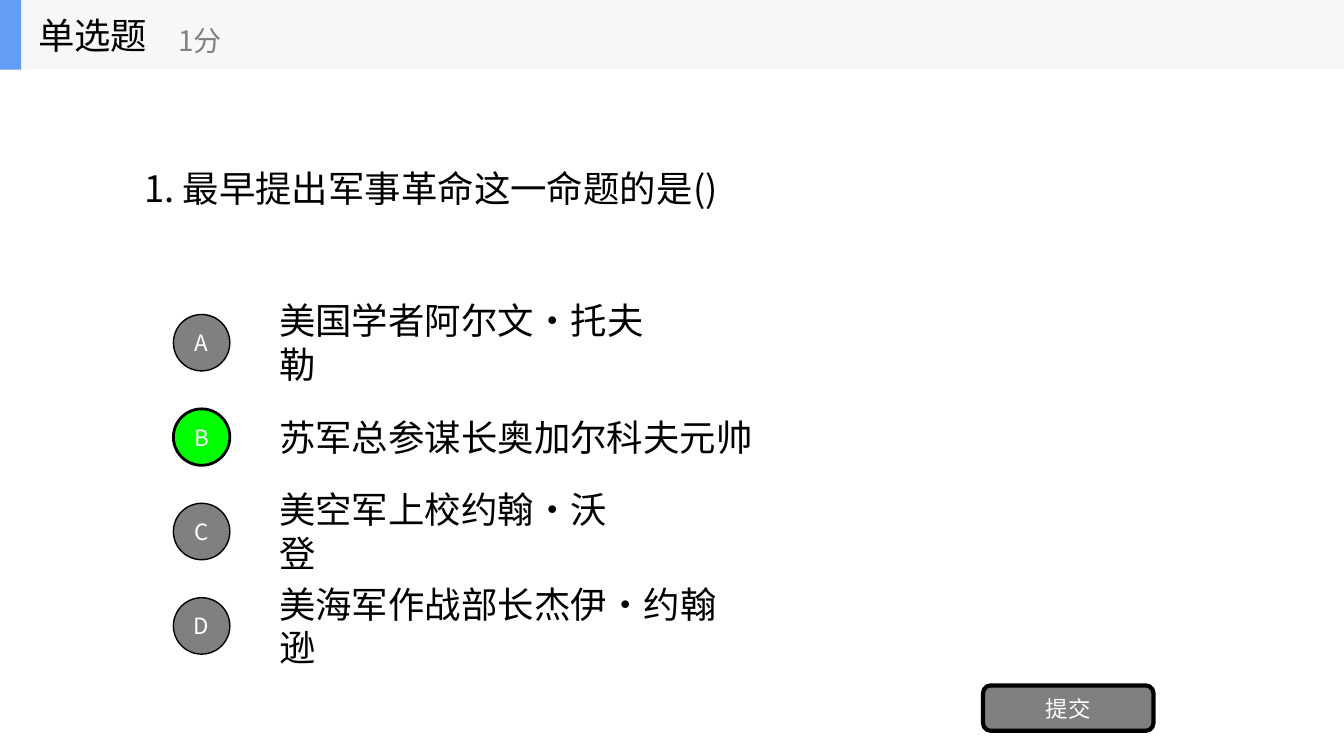
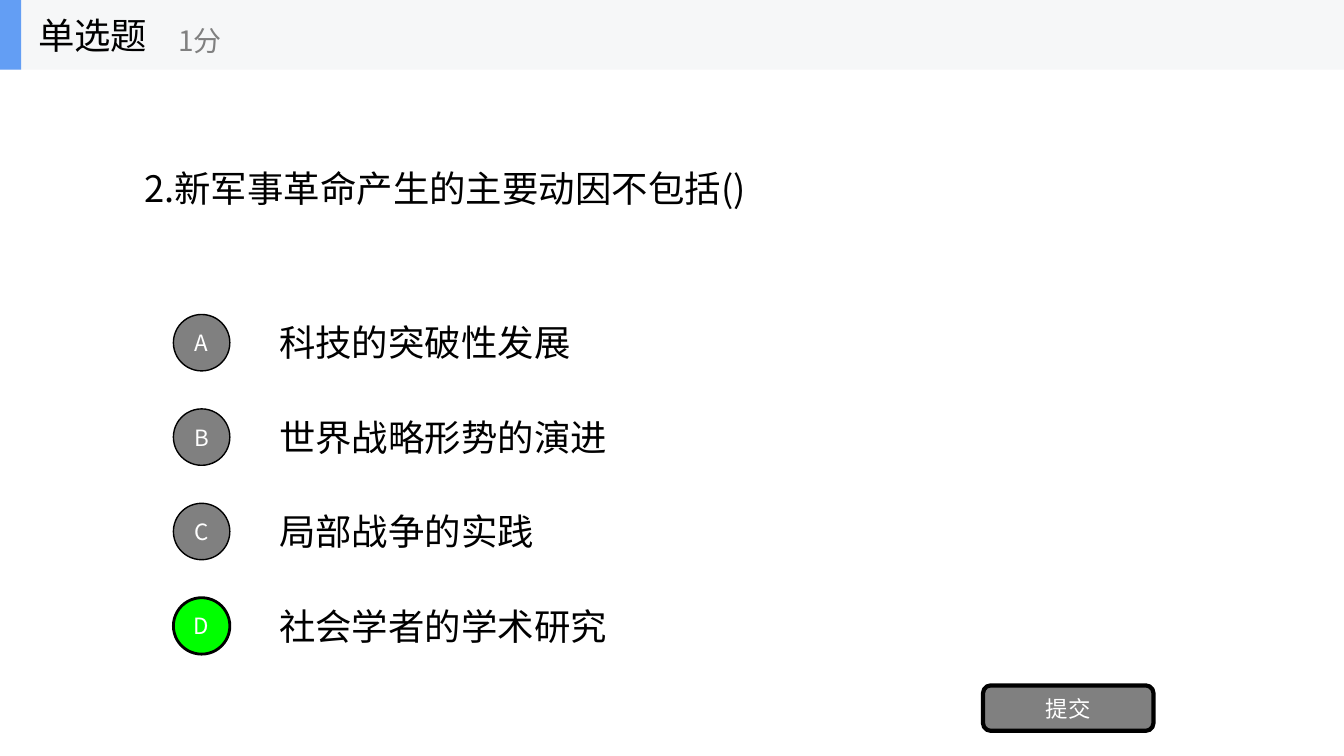
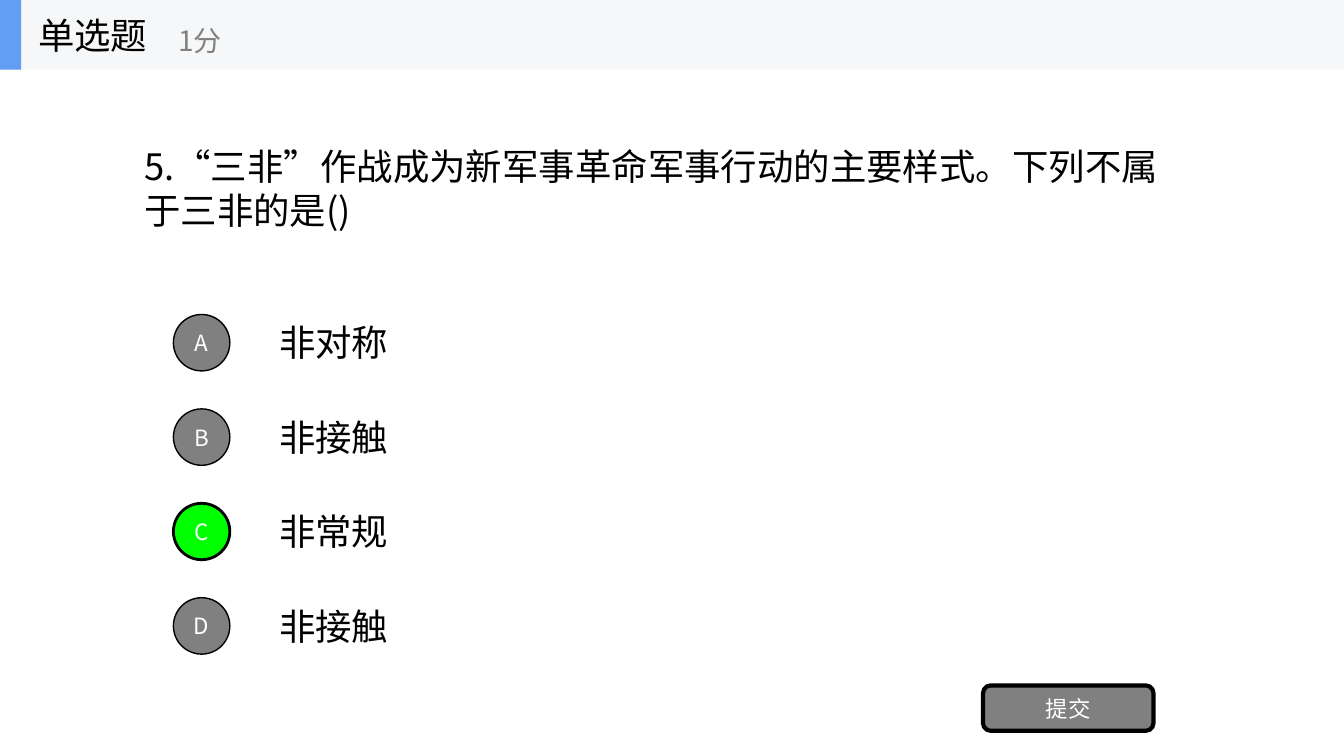
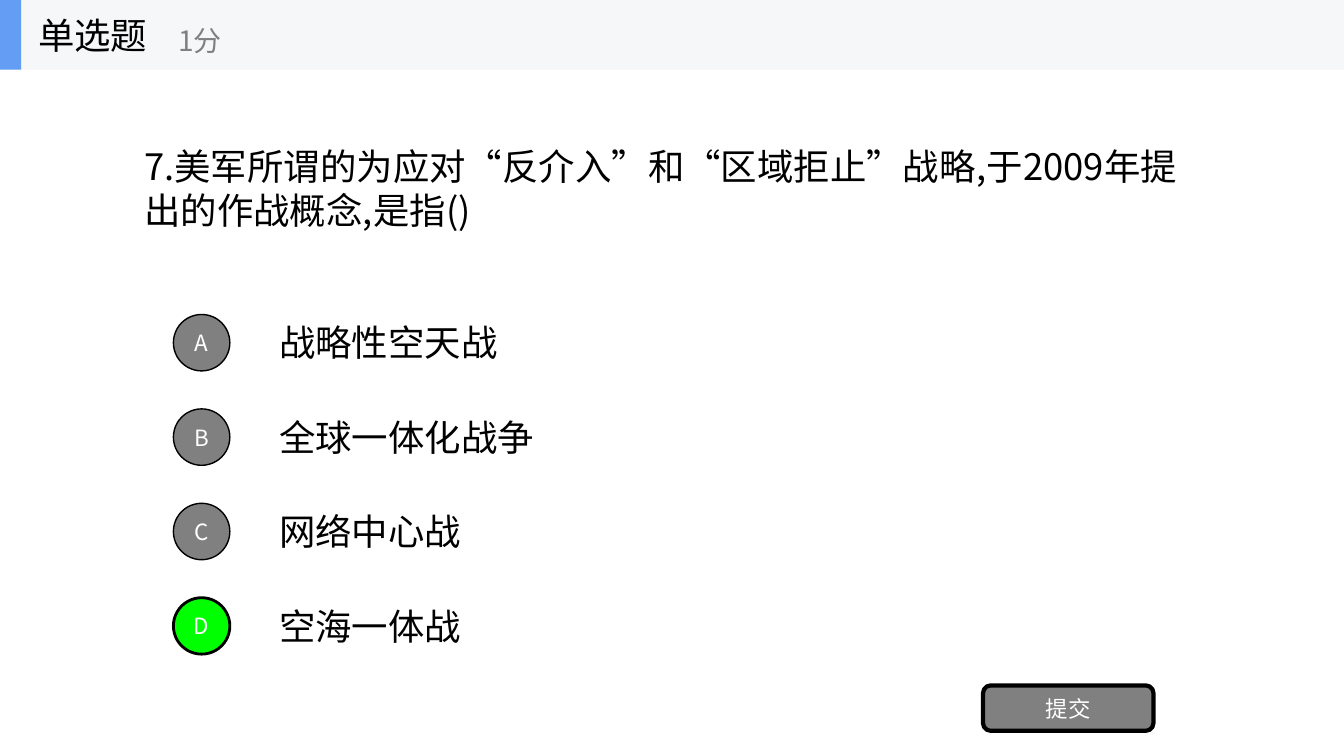
"""Build four single-choice quiz slides."""
from lxml.etree import SubElement
from pptx import Presentation
from pptx.dml.color import RGBColor
from pptx.enum.shapes import MSO_SHAPE as Shape
from pptx.enum.text import MSO_ANCHOR as Anchor, MSO_AUTO_SIZE as Fit, PP_ALIGN as Align
from pptx.oxml.ns import qn
from pptx.util import Inches, Pt

QUIZ = [
    ("1. 最早提出军事革命这一命题的是()", 6.01, 0.53, "B",
     ["美国学者阿尔文·托夫勒", "苏军总参谋长奥加尔科夫元帅",
      "美空军上校约翰·沃登", "美海军作战部长杰伊·约翰逊"]),
    ("2.新军事革命产生的主要动因不包括()", 6.26, 0.53, "D",
     ["科技的突破性发展", "世界战略形势的演进", "局部战争的实践", "社会学者的学术研究"]),
    ("5.“三非”作战成为新军事革命军事行动的主要样式。下列不属于三非的是()", 10.57, 0.97, "C",
     ["非对称", "非接触", "非常规", "非接触"]),
    ("7.美军所谓的为应对“反介入”和“区域拒止”战略,于2009年提出的作战概念,是指()", 10.46, 0.97, "D",
     ["战略性空天战", "全球一体化战争", "网络中心战", "空海一体战"]),
]
KIND, SCORE, SUBMIT = "单选题", "1分", "提交"

FONT = "Noto Sans CJK SC"
BLACK = RGBColor(0x00, 0x00, 0x00)
WHITE = RGBColor(0xFF, 0xFF, 0xFF)
GRAY = RGBColor(0x80, 0x80, 0x80)
GREEN = RGBColor(0x00, 0xFF, 0x00)
BLUE = RGBColor(0x63, 0x9E, 0xF4)
PALE = RGBColor(0xF6, 0xF7, 0xF8)

WIDE, HIGH = 13.33, 7.5
BAND = 0.69
ASK_MID = 1.865
ROW_TOP, ROW_GAP = 3.13, 2.81 / 3
CHAR, PAD, DOT = 0.36, 0.31, 0.27


def write(shape, text, size=26, color=BLACK, align=Align.LEFT, fit=Fit.NONE):
    frame = shape.text_frame
    frame.text = text
    frame.word_wrap = True
    frame.auto_size = fit
    frame.vertical_anchor = Anchor.MIDDLE
    para = frame.paragraphs[0]
    para.alignment = align
    font = para.runs[0].font
    font.name, font.size, font.color.rgb = FONT, Pt(size), color
    SubElement(para.runs[0].font._element, qn("a:ea"), typeface=FONT)


def label(shapes, box, text, **style):
    write(shapes.add_textbox(*map(Inches, box)), text, **style)


def block(shapes, kind, box, fill, line=0):
    shape = shapes.add_shape(kind, *map(Inches, box))
    shape.shadow.inherit = False
    shape.fill.solid()
    shape.fill.fore_color.rgb = fill
    if line:
        shape.line.color.rgb = BLACK
        shape.line.width = Pt(line)
    else:
        shape.line.fill.background()
    return shape


def button(shapes, kind, box, text, fill, line):
    write(block(shapes, kind, box, fill, line), text, 16, WHITE, Align.CENTER)


def header(slide):
    parts = slide.shapes.add_group_shape().shapes
    block(parts, Shape.RECTANGLE, (0, 0, WIDE, BAND), PALE)
    block(parts, Shape.RECTANGLE, (0, 0, 0.21, BAND), BLUE)
    label(parts, (0.28, 0, 2.08, BAND), KIND)
    label(parts, (1.67, 0.12, 2.5, 0.56), SCORE, size=20, color=GRAY)


def ask(slide, text, width, height):
    title = slide.shapes.title
    title.left, title.top = Inches(1.33), Inches(ASK_MID - height / 2)
    title.width, title.height = Inches(width), Inches(height)
    write(title, text, fit=Fit.SHAPE_TO_FIT_TEXT)


def choice(slide, row, key, text, right):
    top = ROW_TOP + row * ROW_GAP
    width = PAD + CHAR * len(text) - DOT * text.count("·")
    label(slide.shapes, (2.67, top, width, 0.53), text, fit=Fit.SHAPE_TO_FIT_TEXT)
    fill, line = (GREEN, 2) if right else (GRAY, 1)
    button(slide.shapes, Shape.OVAL, (1.72, top - 0.01, 0.56, 0.56), key, fill, line)


deck = Presentation()
deck.slide_width, deck.slide_height = Inches(WIDE), Inches(HIGH)
for text, width, height, answer, options in QUIZ:
    slide = deck.slides.add_slide(deck.slide_layouts[5])
    ask(slide, text, width, height)
    for row, (key, option) in enumerate(zip("ABCD", options)):
        choice(slide, row, key, option, key == answer)
    button(slide.shapes, Shape.ROUNDED_RECTANGLE, (9.75, 6.8, 1.69, 0.45), SUBMIT, GRAY, 3)
    header(slide)
deck.save("out.pptx")
